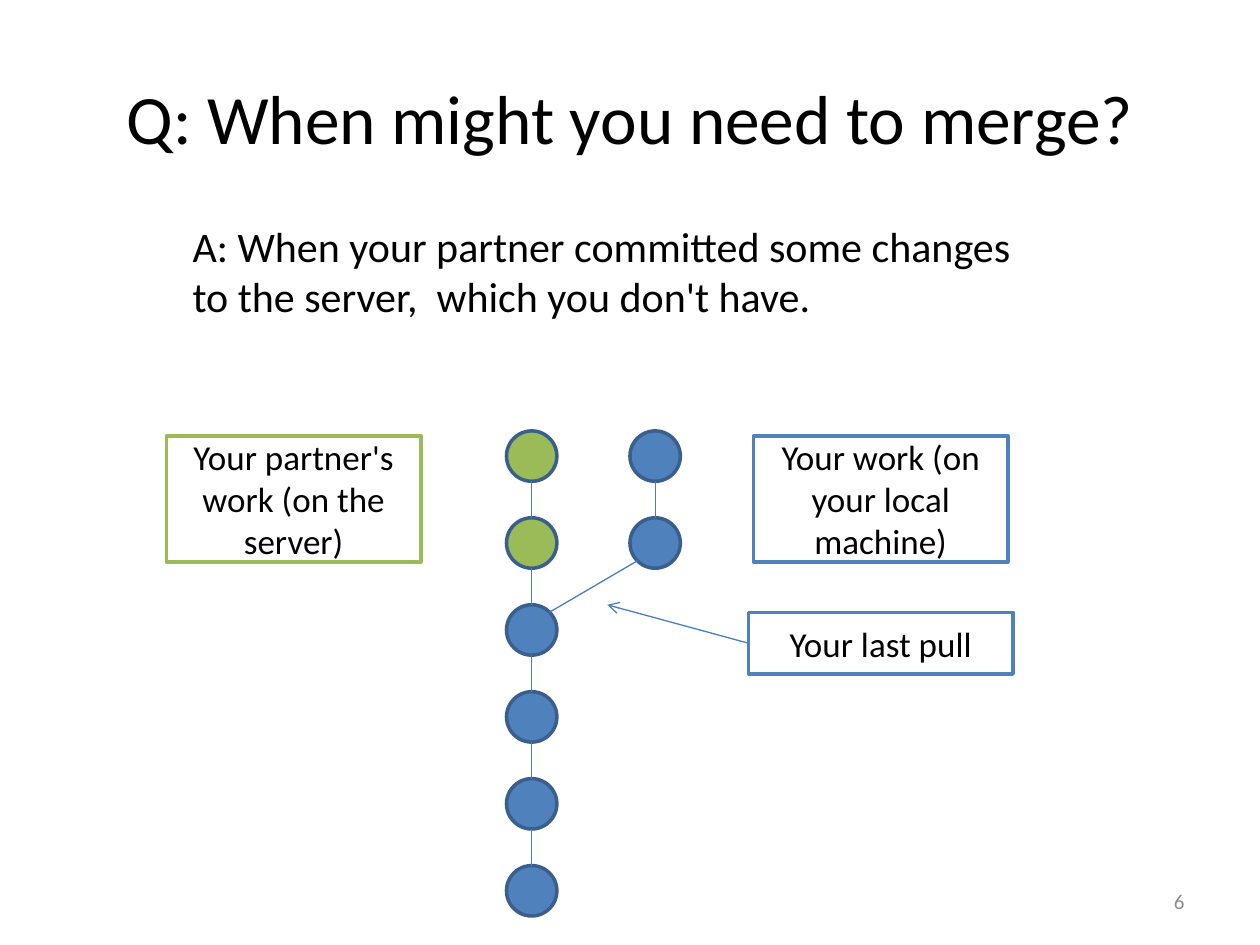
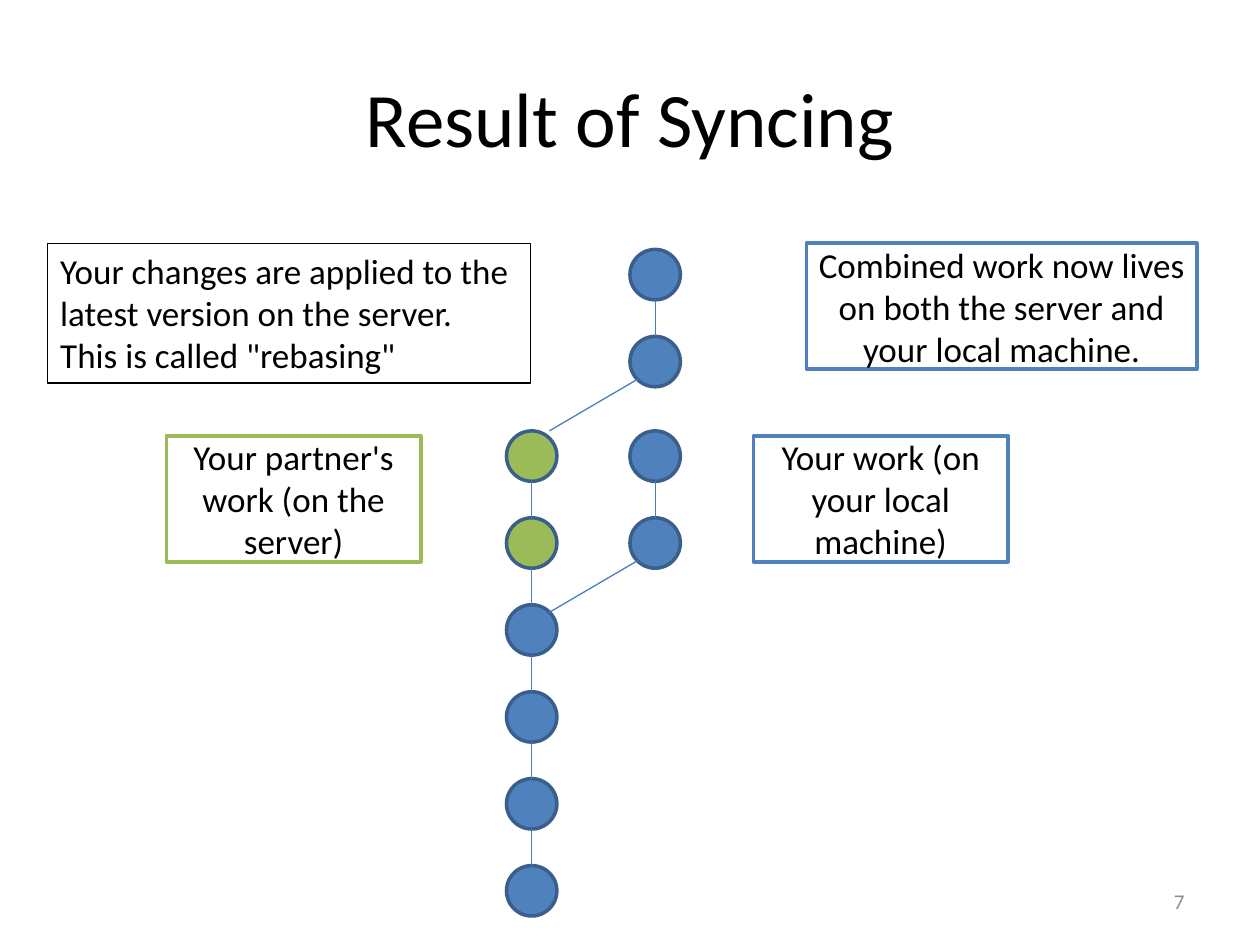
from pptx import Presentation
from pptx.dml.color import RGBColor
from pptx.enum import shapes as kinds, text as txt
from pptx.oxml.ns import qn
from pptx.util import Inches, Pt
from lxml import etree

BLUE, GREEN, WHITE, BLACK = "4F81BD", "9BBB59", "FFFFFF", "000000"
RIM, WIRE, GRAY = "3A5F8C", "4B7EBC", "8C8C8C"
FONT = "Calibri"
DOT, STEP = 0.4, 0.69
TRUNK, SIDE, TOP = 4.02, 5, 3.42
LEFT, MID, RIGHT = txt.PP_ALIGN.LEFT, txt.PP_ALIGN.CENTER, txt.PP_ALIGN.RIGHT
OVAL, RECT = kinds.MSO_SHAPE.OVAL, kinds.MSO_SHAPE.RECTANGLE
rgb = RGBColor.from_string


def add(parts, kind, at, fill, edge, width=2):
    """Add a preset shape with a flat fill (or None) and an outline."""
    shape = parts.add_shape(kind, *map(Inches, at))
    shape.shadow.inherit = False
    if fill:
        shape.fill.solid()
        shape.fill.fore_color.rgb = rgb(fill)
    else:
        shape.fill.background()
    shape.line.color.rgb = rgb(edge)
    shape.line.width = Pt(width)
    return shape


def link(parts, *ends):
    """Add a thin straight line; ends are x1, y1, x2, y2."""
    line = parts.add_connector(kinds.MSO_CONNECTOR.STRAIGHT, *map(Inches, ends))
    line.line.color.rgb = rgb(WIRE)
    line.line.width = Pt(0.75)
    etree.SubElement(line._element.spPr, qn("a:effectLst"))
    return line


prs = Presentation()
prs.slide_width, prs.slide_height = Inches(10), Inches(7.5)

# Title, its size, page number, tops of the side branches, framed labels
partner = ("Your partner's work (on the server)", (1.32, 3.46, 2.02, 1), GREEN)
yours = ("Your work (on your local machine)", (5.98, 3.46, 2.02, 1), BLUE)
pull = ("Your last pull", (5.94, 4.86, 2.1, 0.49), BLUE)
both = ("Combined work now lives on both the server and your local machine.",
        (6.4, 1.93, 3.1, 1), BLUE)
pages = [
    ("Q: When might you need to merge?", 39.6, "6", [TOP], [partner, yours, pull]),
    ("Result of Syncing", 44, "7", [TOP, 1.98], [partner, yours, both]),
]

for head, size, number, tops, labels in pages:
    slide = prs.slides.add_slide(prs.slide_layouts[5])
    page = slide.shapes
    title = page.title
    title.left, title.top, title.width, title.height = map(Inches, (0.5, 0.3, 9, 1.25))
    words = [(title, head, size, MID, BLACK)]

    # Shared history, the partner's two commits on top
    for row in range(6):
        y = TOP + row * STEP
        add(page, OVAL, (TRUNK, y, DOT, DOT), GREEN if row < 2 else BLUE, RIM)
        if row:
            x = TRUNK + DOT / 2
            link(page, x, y, x, y - STEP + DOT)

    # Two commits of your own, branching off the trunk
    for top in tops:
        branch = page.add_group_shape().shapes
        for y in (top + STEP, top):
            add(branch, OVAL, (SIDE, y, DOT, DOT), BLUE, RIM)
        link(branch, 4.36, top + 1.44, 5.06, top + 1.03)
        x = SIDE + DOT / 2
        link(branch, x, top + STEP, x, top + DOT)

    for label, at, edge in labels:
        box = add(page, RECT, at, WHITE, edge)
        words.append((box, label, 20, MID, BLACK))
        if label == "Your last pull":
            arrow = link(page, 5.94, 5.1, 4.82, 4.8)
            arrow.begin_connect(box, 1)
            etree.SubElement(arrow.line._get_or_add_ln(), qn("a:tailEnd"), type="arrow")

    if number == "6":
        note = page.add_textbox(*map(Inches, (1.43, 1.7, 6.77, 0.91)))
        says = ("A: When your partner committed some changes to the server,  "
                "which you don't have.")
        words.append((note, says, 24, LEFT, BLACK))
    else:
        note = add(page, RECT, (0.38, 1.93, 3.83, 1.11), None, BLACK, 0.75)
        says = ("Your changes are applied to the latest version on the server.  "
                "This is called \"rebasing\"")
        words.append((note, says, 20, LEFT, BLACK))
    foot = page.add_textbox(*map(Inches, (7.17, 6.95, 2.33, 0.4)))
    words.append((foot, number, 12, RIGHT, GRAY))

    for shape, says, size, align, color in words:
        frame = shape.text_frame
        frame.word_wrap = True
        frame.vertical_anchor = txt.MSO_ANCHOR.TOP if align == LEFT else txt.MSO_ANCHOR.MIDDLE
        para = frame.paragraphs[0]
        para.alignment = align
        run = para.add_run()
        run.text = says
        run.font.name, run.font.size = FONT, Pt(size)
        run.font.color.rgb = rgb(color)

prs.save("out.pptx")
